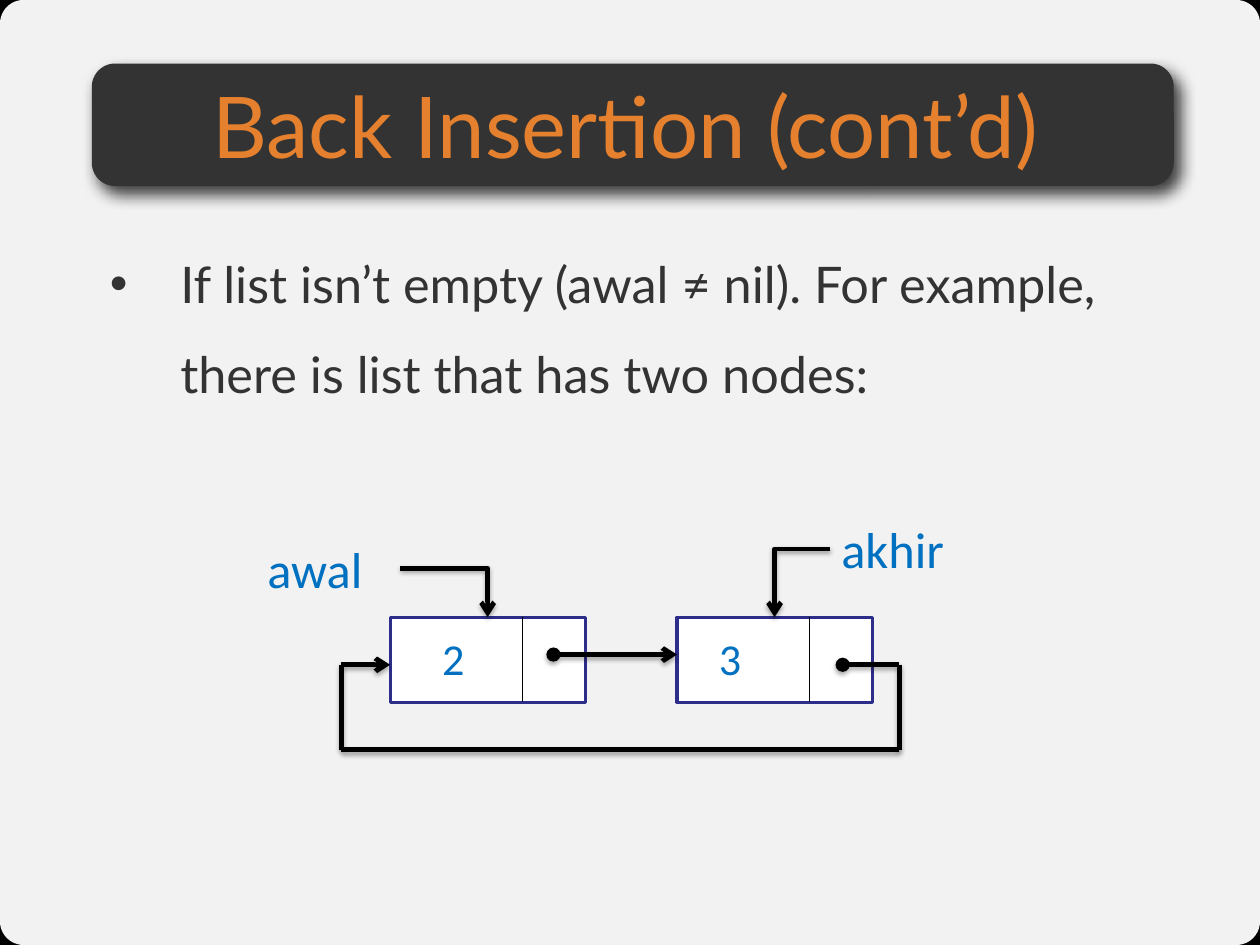
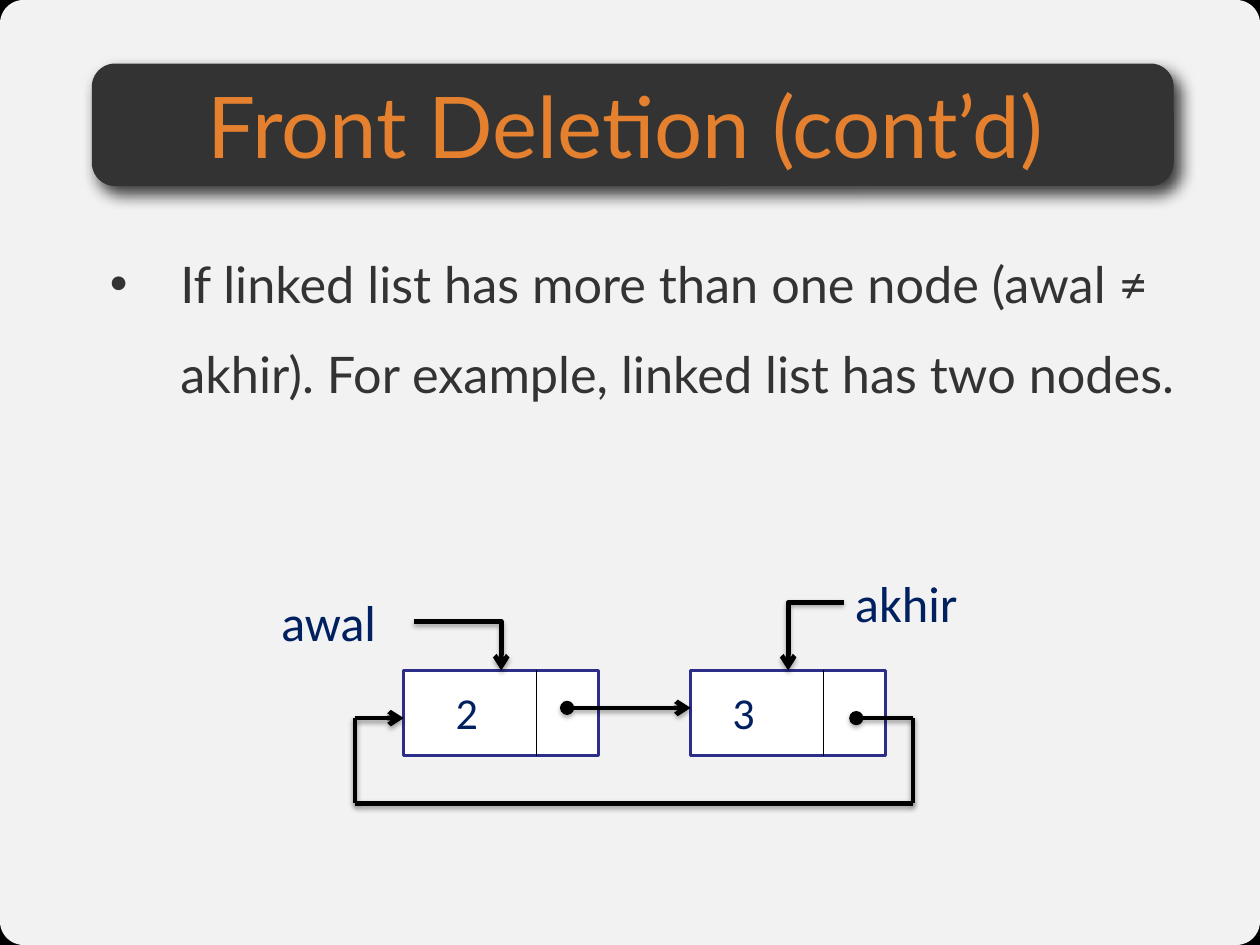
from lxml import etree
from pptx import Presentation
from pptx.dml.color import RGBColor
from pptx.enum.shapes import MSO_CONNECTOR, MSO_SHAPE
from pptx.enum.text import MSO_ANCHOR, PP_ALIGN
from pptx.oxml.ns import qn
from pptx.util import Inches, Pt

RECT, ROUNDED = MSO_SHAPE.RECTANGLE, MSO_SHAPE.ROUNDED_RECTANGLE
STRAIGHT, ELBOW = MSO_CONNECTOR.STRAIGHT, MSO_CONNECTOR.ELBOW
LEFT, CENTER = PP_ALIGN.LEFT, PP_ALIGN.CENTER
TOP, MIDDLE = MSO_ANCHOR.TOP, MSO_ANCHOR.MIDDLE

BLACK = RGBColor(0x00, 0x00, 0x00)
WHITE = RGBColor(0xFF, 0xFF, 0xFF)
CHARCOAL = RGBColor(0x33, 0x33, 0x33)
ORANGE = RGBColor(0xE5, 0x81, 0x2E)
NODE_BORDER = RGBColor(0x2D, 0x2D, 0x8A)
BLUE = RGBColor(0x00, 0x70, 0xC0)
NAVY = RGBColor(0x00, 0x20, 0x60)

SLIDE_W, SLIDE_H = 11.11, 8.33
HEADING_FONT, LABEL_FONT = "Lato", "Calibri"

# Opacity %, blur pt, distance pt, direction in degrees
BAND_SHADOW = (75, 10, 6, 51)
ARROW_SHADOW = (35, 3.1, 1.8, 90)

NODE_W, NODE_H = 1.72, 0.75
NODE_STEP = 2.53
DIVIDER_X = 1.17
POINTER_X = NODE_W / 2
LOOP_Y = 0.42
LOOP_LEFT, LOOP_RIGHT, LOOP_BOTTOM = -0.43, 4.49, 1.17


def add_child(parent, tag, **attrs):
    child = etree.SubElement(parent, qn(tag))
    for name, value in attrs.items():
        child.set(name, str(value))
    return child


def set_shadow(shape, shadow=None):
    """Replace the theme's effect; call after fill and line are set."""
    effects = add_child(shape._element.spPr, "a:effectLst")
    if shadow:
        opacity, blur, dist, angle = shadow
        outer = add_child(effects, "a:outerShdw", blurRad=Pt(blur),
                          dist=Pt(dist), dir=angle * 60000, algn="tl", rotWithShape=0)
        color = add_child(outer, "a:srgbClr", val=BLACK)
        add_child(color, "a:alpha", val=opacity * 1000)


def add_box(s, kind, x, y, w, h, fill, line=None, radius=None, opacity=None, shadow=None):
    sp = s.shapes.add_shape(kind, Inches(x), Inches(y), Inches(w), Inches(h))
    if radius is not None:
        sp.adjustments[0] = radius
    sp.fill.solid()
    sp.fill.fore_color.rgb = fill
    if opacity:
        color = sp._element.spPr.find(qn("a:solidFill"))[0]
        add_child(color, "a:alpha", val=opacity * 1000)
    if line:
        sp.line.color.rgb = line
        sp.line.width = Pt(2)
    else:
        sp.line.fill.background()
    set_shadow(sp, shadow)


def add_text(s, text, x, y, w, h, size, color, font=LABEL_FONT, align=LEFT,
             anchor=TOP, inset=True, bullet=False, spacing=None):
    sp = s.shapes.add_textbox(Inches(x), Inches(y), Inches(w), Inches(h))
    tf = sp.text_frame
    tf.word_wrap = True
    tf.vertical_anchor = anchor
    if not inset:
        tf.margin_left = tf.margin_right = tf.margin_top = tf.margin_bottom = 0
    p = tf.paragraphs[0]
    p.alignment = align
    if bullet:
        pPr = p._p.get_or_add_pPr()
        pPr.set("marL", str(Inches(0.62)))
        pPr.set("indent", str(-Inches(0.62)))
        add_child(pPr, "a:buFont", typeface="Arial")
        add_child(pPr, "a:buChar", char="•")
    if spacing:
        p.line_spacing = spacing
    r = p.add_run()
    r.text = text
    r.font.name = font
    r.font.size = Pt(size)
    r.font.color.rgb = color


def add_line(s, x1, y1, x2, y2, kind=STRAIGHT, width=3, head=None, tail=None,
             shadow=ARROW_SHADOW):
    cn = s.shapes.add_connector(kind, Inches(x1), Inches(y1), Inches(x2), Inches(y2))
    cn.line.color.rgb = BLACK
    cn.line.width = Pt(width)
    if kind == ELBOW:
        cn._element.spPr.find(qn("a:prstGeom")).set("prst", "bentConnector2")
    ln = cn.line._get_or_add_ln()
    if head:
        add_child(ln, "a:headEnd", type=head)
    if tail:
        add_child(ln, "a:tailEnd", type=tail)
    set_shadow(cn, shadow)


def add_node(s, x, y, value, value_dx, color):
    add_box(s, RECT, x, y, NODE_W, NODE_H, WHITE, line=NODE_BORDER)
    add_line(s, x + DIVIDER_X, y, x + DIVIDER_X, y + NODE_H, width=0.75, shadow=None)
    add_text(s, value, x + value_dx, y + 0.08, 0.63, 0.57, 28, color)


def add_circular_list(s, x, y, color):
    """Draw two linked nodes; x, y is the top left of the first node."""
    x2 = x + NODE_STEP
    add_node(s, x, y, "2", 0.36, color)
    add_node(s, x2, y, "3", 0.27, color)
    add_text(s, "awal", x - 1.18, y - 0.75, 1.26, 0.64, 32, color)
    add_text(s, "akhir", x + 3.88, y - 0.92, 1.26, 0.64, 32, color)
    add_line(s, x + 0.09, y - 0.43, x + POINTER_X, y, ELBOW, tail="arrow")
    add_line(s, x + 3.88, y - 0.6, x2 + POINTER_X, y, ELBOW, tail="arrow")
    add_line(s, x + 1.44, y + 0.33, x2, y + 0.33, head="oval", tail="arrow")

    loop = [(3.99, LOOP_Y), (LOOP_RIGHT, LOOP_Y), (LOOP_RIGHT, LOOP_BOTTOM),
            (LOOP_LEFT, LOOP_BOTTOM), (LOOP_LEFT, LOOP_Y), (0, LOOP_Y)]
    last = len(loop) - 2
    for i, ((ax, ay), (bx, by)) in enumerate(zip(loop, loop[1:])):
        add_line(s, x + ax, y + ay, x + bx, y + by,
                 head="oval" if i == 0 else None,
                 tail="arrow" if i == last else None)


def add_base_slide(prs, title, body):
    s = prs.slides.add_slide(prs.slide_layouts[6])
    s.background.fill.solid()
    s.background.fill.fore_color.rgb = BLACK
    add_box(s, ROUNDED, 0, 0, SLIDE_W, SLIDE_H, WHITE, radius=0.025, opacity=95)
    add_text(s, body, 0.97, 1.96, 9.56, 5.59, 32, CHARCOAL, font=HEADING_FONT,
             inset=False, bullet=True, spacing=1.5)
    add_box(s, ROUNDED, 0.81, 0.56, 9.54, 1.08, CHARCOAL, radius=0.19, shadow=BAND_SHADOW)
    add_text(s, title, 0.68, 0.6, 9.67, 1, 54, ORANGE, font=HEADING_FONT,
             align=CENTER, anchor=MIDDLE, inset=False)
    return s


def main():
    prs = Presentation()
    prs.slide_width, prs.slide_height = Inches(SLIDE_W), Inches(SLIDE_H)

    s = add_base_slide(prs, "Back Insertion (cont’d)",
                       "If list isn’t empty (awal ≠ nil). For example, "
                       "there is list that has two nodes:")
    add_circular_list(s, 3.44, 5.44, BLUE)

    s = add_base_slide(prs, "Front Deletion (cont’d)",
                       "If linked list has more than one node (awal ≠ akhir). "
                       "For example, linked list has two nodes.")
    add_circular_list(s, 3.56, 5.91, NAVY)

    prs.save("out.pptx")


if __name__ == "__main__":
    main()
